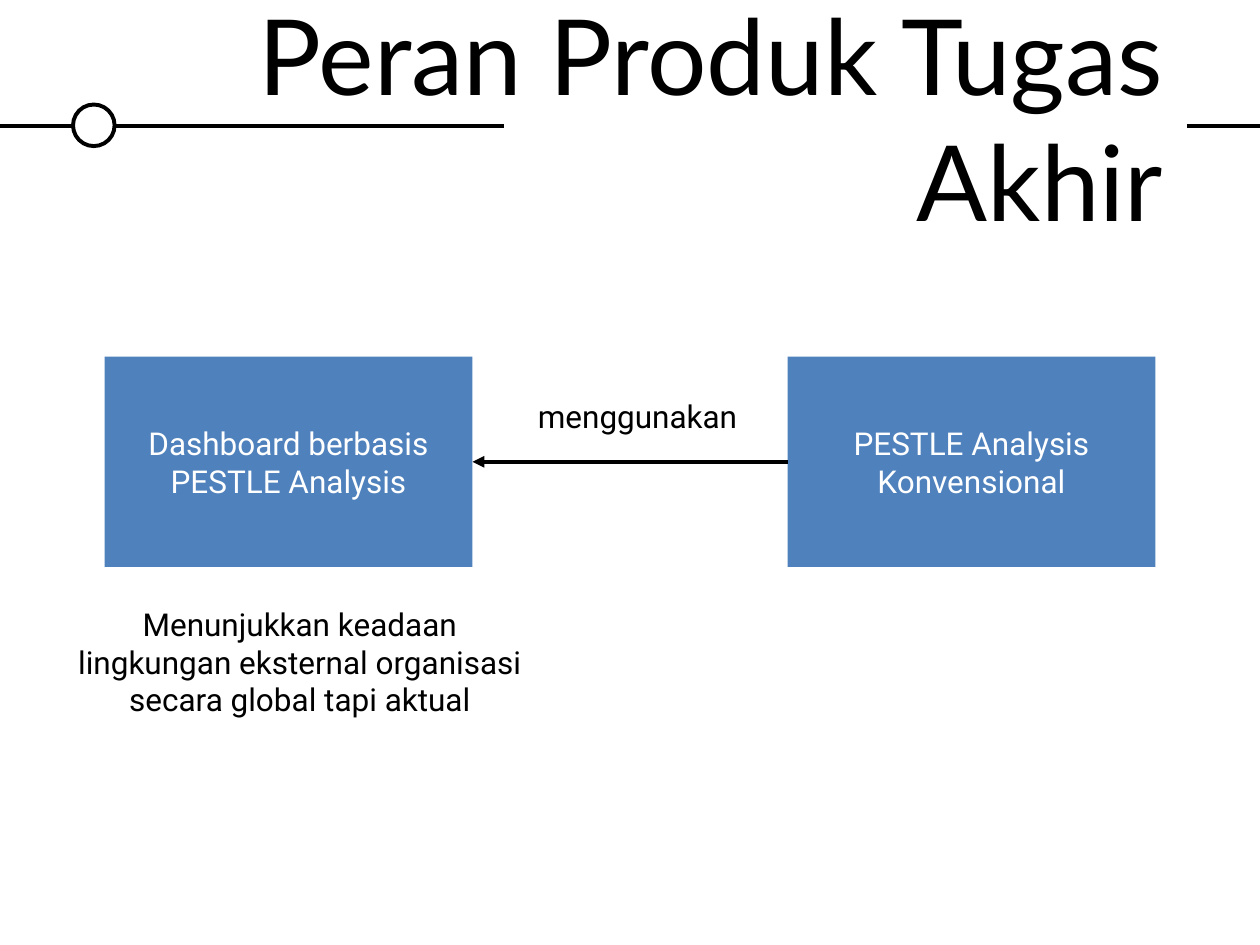
"""Build the slide on the role of the final project product."""
from pptx import Presentation
from pptx.dml.color import RGBColor
from pptx.enum.shapes import MSO_CONNECTOR, MSO_SHAPE
from pptx.enum.text import MSO_ANCHOR, MSO_AUTO_SIZE, PP_ALIGN
from pptx.oxml.ns import qn
from pptx.util import Inches, Pt
from lxml.etree import SubElement

COLORS = {"ink": "000000", "paper": "FFFFFF", "box": "4F81BD"}
RGB = {name: RGBColor.from_string(value) for name, value in COLORS.items()}


def write(sp, text, color="ink", size=18, font="Roboto", align=PP_ALIGN.CENTER,
          anchor=MSO_ANCHOR.TOP, wrap=True):
    tf = sp.text_frame
    tf.text = text
    tf.word_wrap = wrap
    tf.vertical_anchor = anchor
    for p in tf.paragraphs:
        p.alignment = align
        for r in p.runs:
            r.font.name = font
            r.font.size = Pt(size)
            r.font.color.rgb = RGB[color]


def add_line(x1, x2, y):
    cx = s.shapes.add_connector(MSO_CONNECTOR.STRAIGHT, Inches(x1), Inches(y),
                                Inches(x2), Inches(y))
    cx.line.color.rgb = RGB["ink"]
    cx.line.width = Pt(2.25)
    SubElement(cx._element.spPr, qn("a:effectLst"))
    return cx


prs = Presentation()
prs.slide_width, prs.slide_height = Inches(10), Inches(7.5)
s = prs.slides.add_slide(prs.slide_layouts[6])

title = s.shapes.add_textbox(Inches(0.33), Inches(0.3), Inches(9), Inches(1.25))
write(title, "Peran Produk Tugas Akhir", size=60, font="Lato",
      align=PP_ALIGN.RIGHT, anchor=MSO_ANCHOR.MIDDLE)

for x1, x2 in [(0, 4), (9.42, 10)]:
    add_line(x1, x2, 1)

circle = s.shapes.add_shape(MSO_SHAPE.OVAL, Inches(0.58), Inches(0.83),
                            Inches(0.33), Inches(0.33))
circle.shadow.inherit = False
circle.fill.solid()
circle.fill.fore_color.rgb = RGB["paper"]
circle.line.color.rgb = RGB["ink"]
circle.line.width = Pt(2.25)

boxes = []
for x, text in [(0.83, "Dashboard berbasis\nPESTLE Analysis"),
                (6.25, "PESTLE Analysis\nKonvensional")]:
    box = s.shapes.add_shape(MSO_SHAPE.RECTANGLE, Inches(x), Inches(2.83),
                             Inches(2.92), Inches(1.67))
    box.shadow.inherit = False
    box.fill.solid()
    box.fill.fore_color.rgb = RGB["box"]
    box.line.fill.background()
    write(box, text, color="paper", anchor=MSO_ANCHOR.MIDDLE)
    boxes.append(box)

dashboard, conventional = boxes
arrow = add_line(3.75, 6.25, 3.67)
arrow.begin_connect(dashboard, 3)
arrow.end_connect(conventional, 1)
SubElement(arrow.line._get_or_add_ln(), qn("a:headEnd"), type="triangle")

label = s.shapes.add_textbox(Inches(4.17), Inches(3.1), Inches(1.79), Inches(0.4))
write(label, "menggunakan", align=PP_ALIGN.LEFT, wrap=False)

caption = s.shapes.add_textbox(Inches(0.33), Inches(4.75), Inches(4.1), Inches(1.01))
write(caption, "Menunjukkan keadaan\nlingkungan eksternal organisasi\n"
               "secara global tapi aktual")

for sp in (label, caption):
    sp.text_frame.auto_size = MSO_AUTO_SIZE.SHAPE_TO_FIT_TEXT

prs.save("out.pptx")
